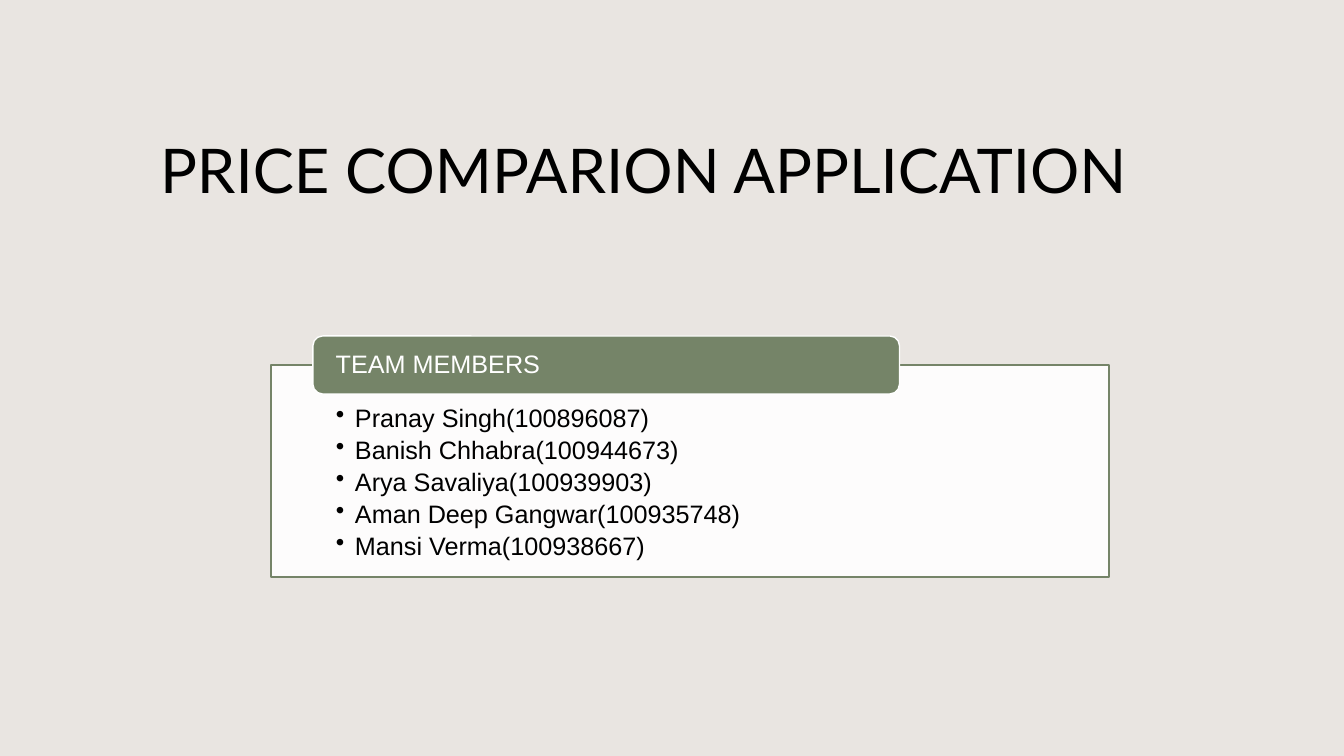
from dataclasses import dataclass

from lxml import etree
from pptx import Presentation
from pptx.dml.color import RGBColor
from pptx.enum.shapes import MSO_SHAPE
from pptx.enum.text import MSO_ANCHOR, PP_ALIGN
from pptx.oxml.ns import qn
from pptx.util import Emu, Pt

RECTANGLE = MSO_SHAPE.RECTANGLE
ROUNDED = MSO_SHAPE.ROUNDED_RECTANGLE
TOP = MSO_ANCHOR.TOP
MIDDLE = MSO_ANCHOR.MIDDLE
LEFT = PP_ALIGN.LEFT

PAGE_WIDTH, PAGE_HEIGHT = 1344, 756
EMU_PER_PX = 12192000 / PAGE_WIDTH
TITLE_ONLY = 5

TITLE = "PRICE COMPARION APPLICATION"
HEADING = "TEAM MEMBERS"
MEMBERS = [
    "Pranay Singh(100896087)",
    "Banish Chhabra(100944673)",
    "Arya Savaliya(100939903)",
    "Aman Deep Gangwar(100935748)",
    "Mansi Verma(100938667)",
]


@dataclass(frozen=True)
class Theme:
    backdrop: str = "E9E5E1"
    panel: str = "FDFCFC"
    accent: str = "758468"
    light: str = "FFFFFF"
    dark: str = "000000"
    title_font: str = "Lato"
    body_font: str = "Arial"
    title_size: int = 44
    body_size: int = 18


THEME = Theme()


def px(length):
    return Emu(round(length * EMU_PER_PX))


def apply_format(target, values):
    for name, value in values.items():
        setattr(target, name, value)


def place(shape, box):
    apply_format(shape, dict(zip(("left", "top", "width", "height"), map(px, box))))


def write_text(frame, lines, font, size, color, insets, anchor, spacing):
    sides = ("margin_left", "margin_top", "margin_right", "margin_bottom")
    apply_format(frame, dict(zip(sides, map(px, insets))))
    apply_format(frame, {"word_wrap": True, "vertical_anchor": anchor})
    for index, line in enumerate(lines):
        para = frame.paragraphs[0] if index == 0 else frame.add_paragraph()
        apply_format(para, {"alignment": LEFT, **spacing})
        span = para.add_run()
        span.text = line
        apply_format(span.font, {"name": font, "size": Pt(size), "bold": False})
        span.font.color.rgb = RGBColor.from_string(color)


def add_bullet(para, indent):
    properties = para._p.get_or_add_pPr()
    properties.set("marL", str(px(indent)))
    properties.set("indent", str(-px(indent)))
    etree.SubElement(properties, qn("a:buChar")).set("char", "•")


def add_panel(page, kind, box, fill, line):
    shape = page.shapes.add_shape(kind, *map(px, box))
    shape.shadow.inherit = False
    shape.fill.solid()
    shape.fill.fore_color.rgb = RGBColor.from_string(fill)
    shape.line.color.rgb = RGBColor.from_string(line)
    shape.line.width = Pt(1)
    return shape


def add_title(page, box):
    title = page.shapes.title
    place(title, box)
    write_text(title.text_frame, [TITLE], THEME.title_font, THEME.title_size,
               THEME.dark, (10, 5, 10, 5), MIDDLE, {"line_spacing": 0.9})


def add_team(page, box):
    left, top, width, height = box
    tab_height = 58
    card = add_panel(page, RECTANGLE, box, THEME.panel, THEME.accent)
    write_text(card.text_frame, MEMBERS, THEME.body_font, THEME.body_size,
               THEME.dark, (65, 41, 65, 14), TOP,
               {"level": 1, "line_spacing": 0.9, "space_after": Pt(3.3)})
    for para in card.text_frame.paragraphs:
        add_bullet(para, 19)

    tab_box = (left + width * 0.05, top - tab_height / 2, width * 0.7, tab_height)
    tab = add_panel(page, ROUNDED, tab_box, THEME.accent, THEME.light)
    write_text(tab.text_frame, [HEADING], THEME.body_font, THEME.body_size,
               THEME.light, (20, 0, 20, 0), MIDDLE, {"line_spacing": 0.9})


def build_page(deck):
    page = deck.slides.add_slide(deck.slide_layouts[TITLE_ONLY])
    page.background.fill.solid()
    page.background.fill.fore_color.rgb = RGBColor.from_string(THEME.backdrop)
    add_title(page, (150, 101, 1194, 146))
    add_team(page, (271, 365, 838, 212))


def main():
    deck = Presentation()
    apply_format(deck, {"slide_width": px(PAGE_WIDTH), "slide_height": px(PAGE_HEIGHT)})
    build_page(deck)
    deck.save("out.pptx")


if __name__ == "__main__":
    main()
